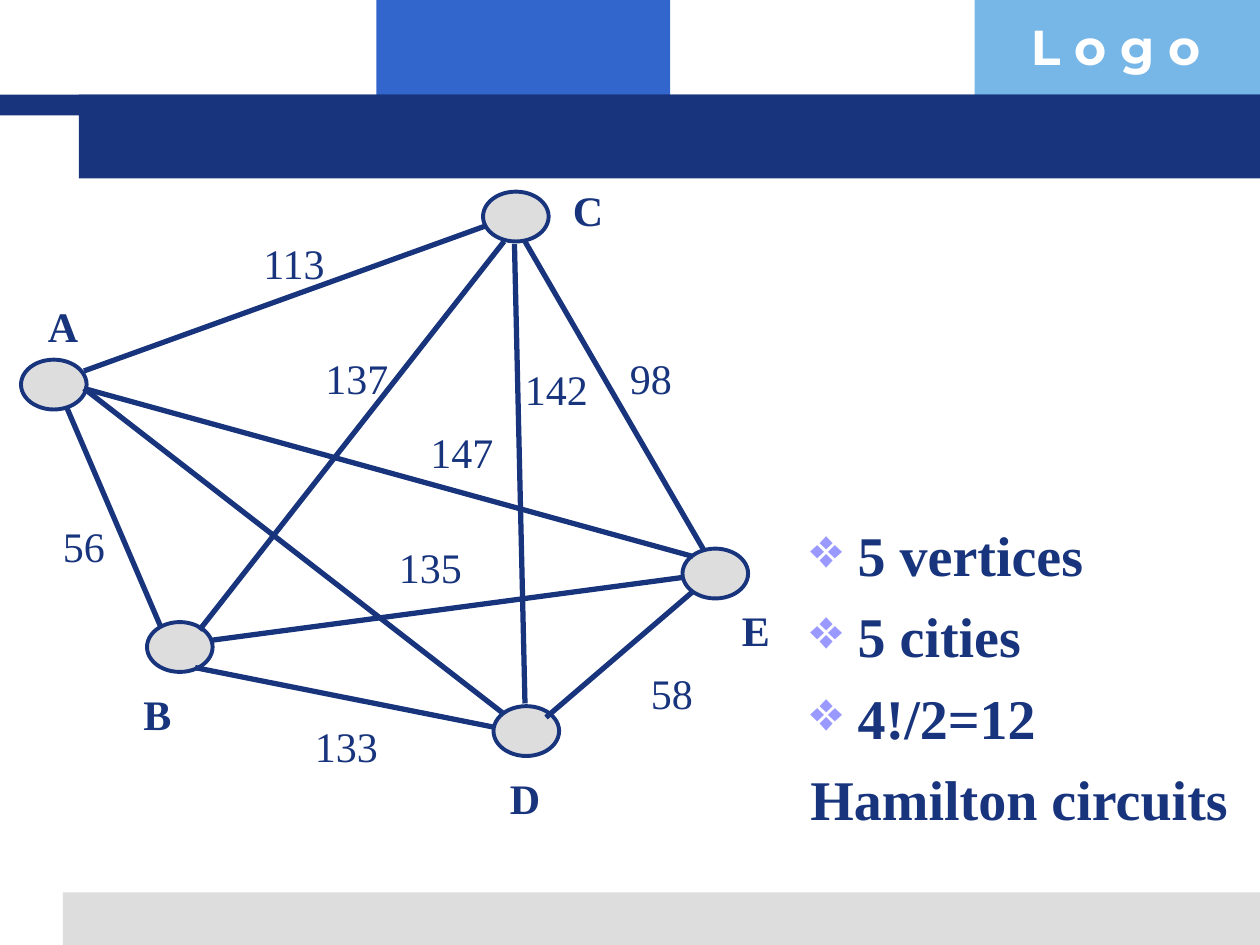
from lxml import etree
from pptx import Presentation
from pptx import util as u
from pptx.dml.color import RGBColor
from pptx.enum import shapes, text
from pptx.oxml.ns import qn

Pt = u.Pt
NAVY = RGBColor(0x17, 0x34, 0x7D)
BLUE = RGBColor(0x33, 0x66, 0xCC)
SKY = RGBColor(0x77, 0xB7, 0xE7)
GREY = RGBColor(0xDD, 0xDD, 0xDD)
WHITE = RGBColor(0xFF, 0xFF, 0xFF)
SERIF = "Times New Roman"
RECT, OVAL = shapes.MSO_SHAPE.RECTANGLE, shapes.MSO_SHAPE.OVAL

BANDS = [
    (215, 0, 168, 66, BLUE),
    (557, 0, 163, 66, SKY),
    (36, 510, 684, 30, GREY),
    (0, 54, 720, 12, NAVY),
    (45, 54, 675, 48, NAVY),
]
VERTICES = {
    "A": ((12, 205.5), (18, 168)),
    "B": ((84, 355.5), (72, 390)),
    "C": ((276, 109.5), (318, 102)),
    "D": ((282, 403.5), (282, 438)),
    "E": ((390, 313.5), (414, 342)),
}
EDGES = [
    (48, 212, 282, 127.5),
    (38, 232.5, 92, 358.5),
    (111.5, 381.5, 282, 415.5),
    (312, 410, 396, 338),
    (300, 138, 402, 314),
    (114, 360, 288, 138),
    (120, 366, 390, 330),
    (48, 222, 288, 408),
    (48, 222, 396, 318),
    (300, 402, 294, 139.5),
]
WEIGHTS = [
    ("113", 132, 132), ("98", 336, 198), ("137", 168, 198),
    ("147", 228, 240), ("142", 282, 204), ("135", 210, 306),
    ("133", 162, 408), ("56", 12, 294), ("58", 348, 378),
]
FACTS = [("5 vertices", True), ("5 cities", True), ("4!/2=12", True), ("Hamilton circuits", False)]


class Deck:
    """Draws styled elements on the current slide, with lengths in points."""

    node = (37.5, 28.5)
    label = {"name": SERIF, "size": Pt(24), "bold": False}
    body = {"name": SERIF, "size": Pt(32), "bold": True}
    logo = {"name": "Montserrat", "size": Pt(28), "bold": True}

    def __init__(self):
        self.prs = Presentation()
        self.prs.slide_width, self.prs.slide_height = Pt(720), Pt(540)
        self.s = self.prs.slides.add_slide(self.prs.slide_layouts[6])

    def shape(self, kind, x, y, w, h, fill, line=None):
        sp = self.s.shapes.add_shape(kind, Pt(x), Pt(y), Pt(w), Pt(h))
        sp.shadow.inherit = False
        sp.fill.solid()
        sp.fill.fore_color.rgb = fill
        if line is None:
            sp.line.fill.background()
        else:
            sp.line.color.rgb = line
            sp.line.width = Pt(2.25)

    def edge(self, x1, y1, x2, y2):
        sp = self.s.shapes.add_connector(
            shapes.MSO_CONNECTOR.STRAIGHT, Pt(x1), Pt(y1), Pt(x2), Pt(y2))
        sp.line.color.rgb = NAVY
        sp.line.width = Pt(3)
        etree.SubElement(sp._element.spPr, qn("a:effectLst"))

    def frame(self, x, y, w, h):
        tf = self.s.shapes.add_textbox(Pt(x), Pt(y), Pt(w), Pt(h)).text_frame
        tf.word_wrap = True
        return tf

    def run(self, p, words, style, color=NAVY):
        r = p.add_run()
        r.text = words
        for key, value in style.items():
            setattr(r.font, key, value)
        r.font.color.rgb = color

    def caption(self, words, x, y, w, bold=False):
        tf = self.frame(x, y, w, 36)
        tf.vertical_anchor = text.MSO_ANCHOR.MIDDLE
        p = tf.paragraphs[0]
        p.alignment = text.PP_ALIGN.CENTER
        self.run(p, words, {**self.label, "bold": bold})

    def bullets(self, items, x, y, w, h):
        tf = self.frame(x, y, w, h)
        for i, (words, marked) in enumerate(items):
            p = tf.add_paragraph() if i else tf.paragraphs[0]
            p.space_before = Pt(8)
            self.run(p, words, self.body)
            pPr = p._p.get_or_add_pPr()
            pPr.set("marL", str(Pt(27)))
            pPr.set("indent", str(-Pt(27)))
            if marked:
                clr = etree.SubElement(pPr, qn("a:buClr"))
                etree.SubElement(clr, qn("a:srgbClr"), val="9999FF")
                etree.SubElement(pPr, qn("a:buChar"), char="❖")
            else:
                etree.SubElement(pPr, qn("a:buNone"))


def main():
    d = Deck()
    for *box, fill in BANDS:
        d.shape(RECT, *box, fill)
    d.run(d.frame(582, 6, 138, 41).paragraphs[0], "L o g o", d.logo, WHITE)
    d.edge(*EDGES[0])
    for spot, _ in VERTICES.values():
        d.shape(OVAL, *spot, *d.node, GREY, NAVY)
    for ends in EDGES[1:]:
        d.edge(*ends)
    for name, (_, spot) in VERTICES.items():
        d.caption(name, *spot, 36, bold=True)
    for weight, x, y in WEIGHTS:
        d.caption(weight, x, y, 72)
    d.bullets(FACTS, 456, 294, 264, 192)
    d.prs.save("out.pptx")


if __name__ == "__main__":
    main()
